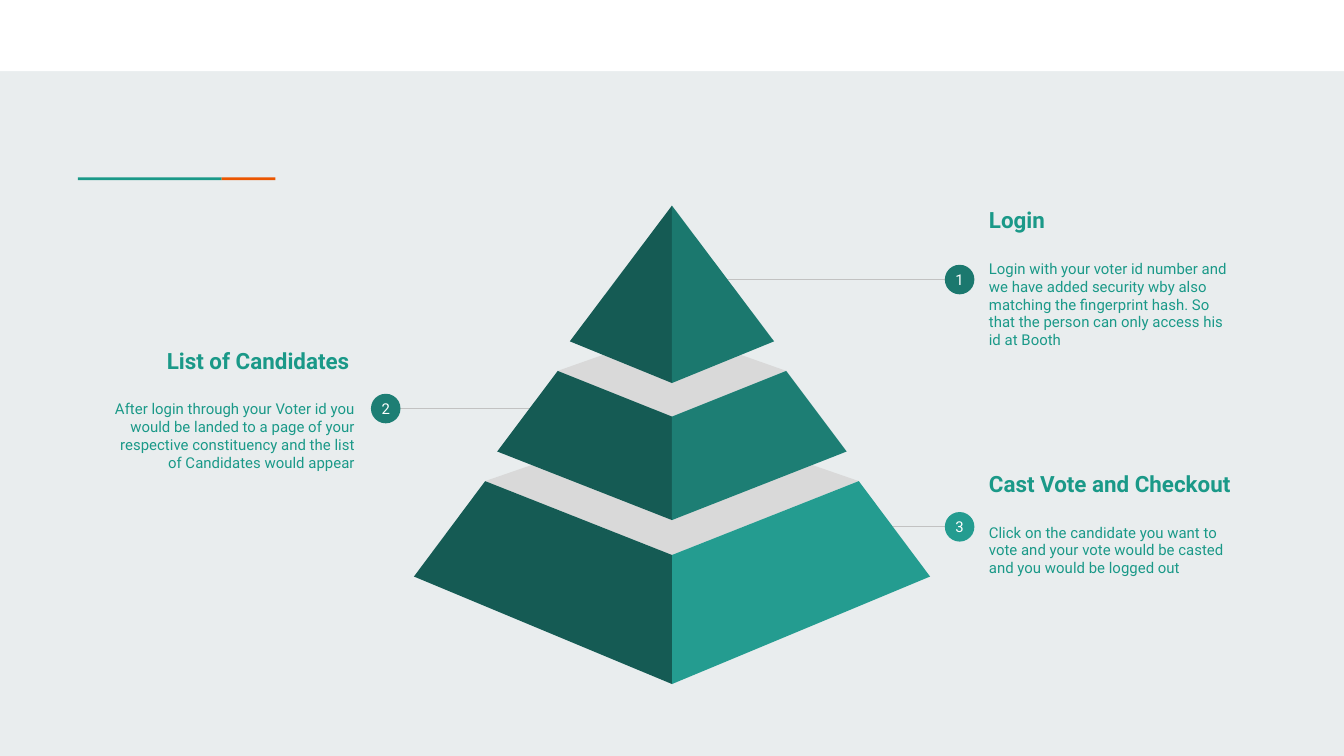
from lxml import etree
from pptx import Presentation
from pptx.dml.color import RGBColor
from pptx.enum.shapes import MSO_CONNECTOR, MSO_SHAPE
from pptx.enum.text import MSO_ANCHOR, PP_ALIGN
from pptx.oxml.ns import qn
from pptx.util import Inches, Pt

STRAIGHT = MSO_CONNECTOR.STRAIGHT
RECTANGLE, OVAL = MSO_SHAPE.RECTANGLE, MSO_SHAPE.OVAL
LEFT, CENTER, RIGHT = PP_ALIGN.LEFT, PP_ALIGN.CENTER, PP_ALIGN.RIGHT
MIDDLE = MSO_ANCHOR.MIDDLE

FONT = "Roboto"
COLORS = {
    "background": "E9EDEE", "white": "FFFFFF", "teal": "1A9988",
    "orange": "EB5600", "line": "C2C2C2", "top_face": "D9D9D9",
    "dark": "155B54", "tier_1": "1B786E", "tier_2": "1D7E74", "tier_3": "249C90",
}

TIERS = [
    {"color": "tier_1", "top": (0, 0), "front_top": 0,
     "bottom": (0.76, 1.01), "front_bottom": 1.32, "back": None},
    {"color": "tier_2", "top": (0.85, 1.23), "front_top": 1.57,
     "bottom": (1.3, 1.83), "front_bottom": 2.34, "back": 0.93},
    {"color": "tier_3", "top": (1.39, 2.05), "front_top": 2.6,
     "bottom": (1.92, 2.76), "front_bottom": 3.56, "back": 1.57},
]

CALLOUTS = [
    {"number": "1", "box": (7.26, 1.31, 2.04, 1.51), "align": LEFT,
     "anchor_x": 5.37, "drop": 0.77, "title": "Login",
     "body": "Login with your voter id number and we have added security wby also "
             "matching the fingerprint hash. So that the person can only access his id at Booth"},
    {"number": "2", "box": (0.7, 2.29, 2.04, 1.51), "align": RIGHT,
     "anchor_x": 3.97, "drop": 0.75, "title": "List of Candidates ",
     "body": "After login through your Voter id you would be landed to a page of your "
             "respective constituency and the list of Candidates would appear"},
    {"number": "3", "box": (7.26, 3.14, 2.04, 1.51), "align": LEFT,
     "anchor_x": 6.6, "drop": 0.78, "title": "Cast Vote and Checkout",
     "body": "Click on the candidate you want to vote and your vote would be casted "
             "and you would be logged out"},
]


def rgb(name):
    return RGBColor.from_string(COLORS[name])


def paint(shape, color):
    shape.shadow.inherit = False
    shape.fill.solid()
    shape.fill.fore_color.rgb = rgb(color)
    shape.line.fill.background()
    return shape


def add_block(page, kind, box, color):
    return paint(page.shapes.add_shape(kind, *map(Inches, box)), color)


def add_face(page, points, color):
    corners = [(Inches(x), Inches(y)) for x, y in points]
    builder = page.shapes.build_freeform(*corners[0])
    builder.add_line_segments(corners[1:], close=True)
    paint(builder.convert_to_shape(), color)


def write(para, text, size=8, color="teal", bold=False, align=LEFT, before=0, after=0):
    para.alignment = align
    para.space_before, para.space_after = Pt(before), Pt(after)
    span = para.add_run()
    span.text = text
    span.font.name, span.font.size, span.font.bold = FONT, Pt(size), bold
    span.font.color.rgb = rgb(color)


def set_frame(frame, inset):
    frame.word_wrap = True
    frame.vertical_anchor = MIDDLE
    frame.margin_left = frame.margin_right = Inches(inset)
    frame.margin_top = frame.margin_bottom = Inches(inset)
    return frame


def add_header(page, box):
    left, top, width, height = box
    add_block(page, RECTANGLE, (left, top, width, height), "white")
    rule_top = top + 1.32
    add_block(page, RECTANGLE, (left + 0.58, rule_top, 1.07, 0.02), "teal")
    add_block(page, RECTANGLE, (left + 1.65, rule_top, 0.4, 0.02), "orange")


def add_callout(page, box, number, title, body, align, anchor_x, drop):
    left, top, width, height = box
    center_x = left - 0.12 if align == LEFT else left + width + 0.13
    center_y = top + drop
    diameter = 0.22

    line = page.shapes.add_connector(
        STRAIGHT, *map(Inches, (anchor_x, center_y, center_x, center_y)))
    line.line.color.rgb = rgb("line")
    line.line.width = Pt(0.75)
    etree.SubElement(line._element.spPr, qn("a:effectLst"))

    frame = set_frame(page.shapes.add_textbox(*map(Inches, box)).text_frame, 0.1)
    write(frame.paragraphs[0], title, size=12, bold=True, align=align)
    write(frame.add_paragraph(), body, align=align, before=14, after=16)

    badge_box = (center_x - diameter / 2, center_y - diameter / 2, diameter, diameter)
    badge = add_block(page, OVAL, badge_box, f"tier_{number}")
    badge_frame = set_frame(badge.text_frame, 0)
    write(badge_frame.paragraphs[0], number, color="white", align=CENTER)


def add_pyramid(page, box):
    left, top, width, height = box
    middle = left + width / 2
    for tier in reversed(TIERS):
        top_half, top_y = tier["top"]
        bottom_half, bottom_y = tier["bottom"]
        if tier["back"] is not None:
            add_face(page, [
                (middle - top_half, top + top_y), (middle, top + tier["front_top"]),
                (middle + top_half, top + top_y), (middle, top + tier["back"]),
            ], "top_face")
        for side, color in ((-1, "dark"), (1, tier["color"])):
            add_face(page, [
                (middle + side * top_half, top + top_y),
                (middle + side * bottom_half, top + bottom_y),
                (middle, top + tier["front_bottom"]),
                (middle, top + tier["front_top"]),
            ], color)


def main():
    deck = Presentation()
    deck.slide_width = Inches(10)
    deck.slide_height = deck.slide_width * 9 // 16
    page = deck.slides.add_slide(deck.slide_layouts[6])
    page.background.fill.solid()
    page.background.fill.fore_color.rgb = rgb("background")
    add_header(page, (0, 0, 10, 0.53))
    for callout in CALLOUTS:
        add_callout(page, **callout)
    add_pyramid(page, (3.08, 1.53, 3.84, 3.56))
    deck.save("out.pptx")


if __name__ == "__main__":
    main()
